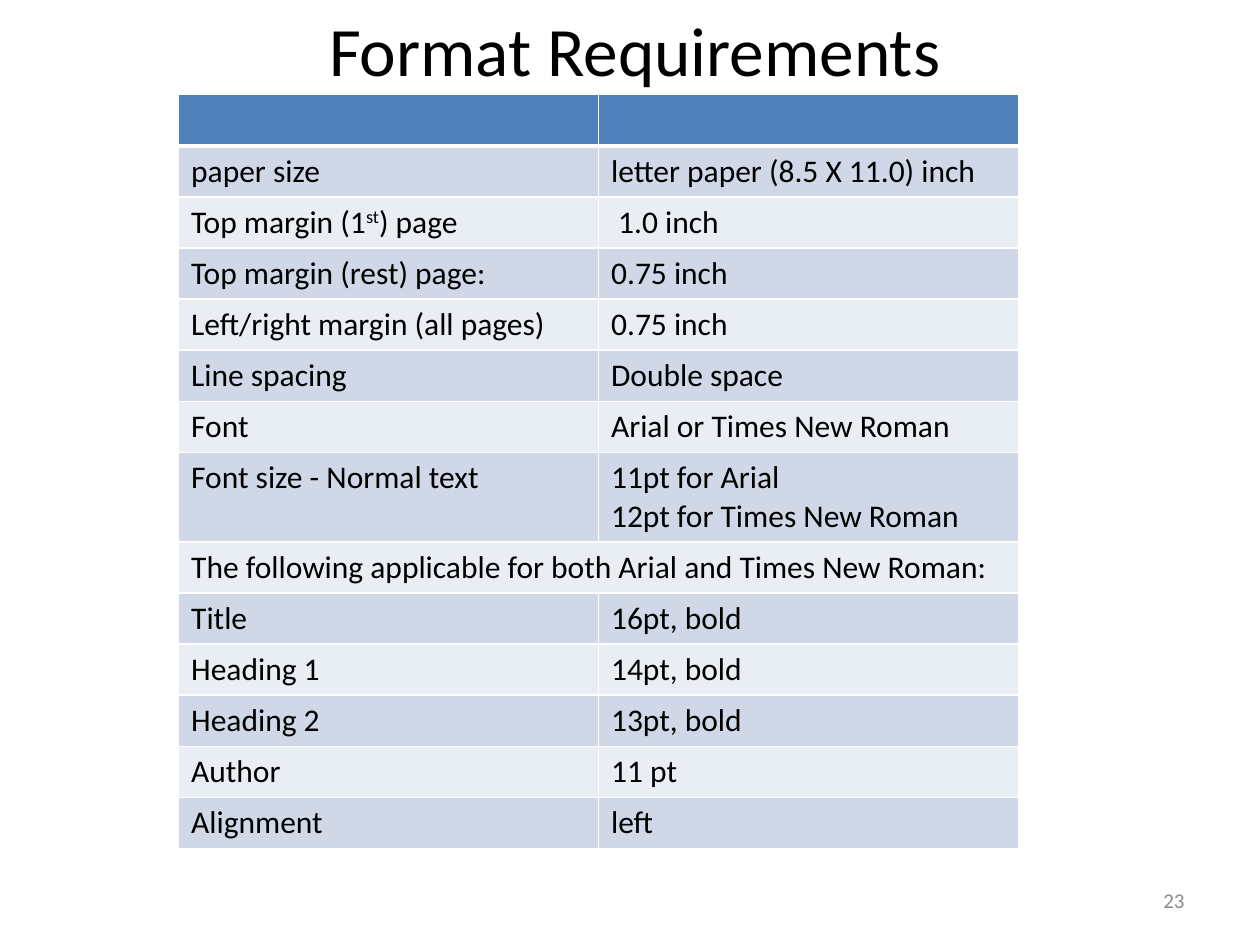
from dataclasses import dataclass

from lxml.etree import SubElement
from pptx import Presentation
from pptx.dml.color import RGBColor
from pptx.enum.text import MSO_ANCHOR, MSO_AUTO_SIZE, PP_ALIGN
from pptx.oxml.ns import qn
from pptx.util import Cm, Pt


@dataclass(frozen=True)
class Theme:
    font: str = "Calibri"
    ink: str = "000000"
    muted: str = "8C8C8C"
    rule: str = "FFFFFF"
    header: str = "4F81BD"
    bands: tuple = ("D0D8E8", "E9EDF4")
    title_size: float = 39.6
    body_size: float = 18
    number_size: float = 12
    thin: float = 1
    thick: float = 3


THEME = Theme()

REQUIREMENTS = [
    ("", ""),
    ("paper size", "letter paper (8.5 X 11.0) inch"),
    (("Top margin (1", "^st", ") page"), " 1.0 inch"),
    ("Top margin (rest) page: ", "0.75 inch"),
    ("Left/right margin (all pages) ", "0.75 inch"),
    ("Line spacing", "Double space"),
    ("Font", "Arial or Times New Roman"),
    ("Font size - Normal text", "11pt for Arial\n12pt for Times New Roman"),
    ("The following applicable for both Arial and Times New Roman:",),
    ("Title", "16pt, bold"),
    ("Heading 1", "14pt, bold"),
    ("Heading 2", "13pt, bold"),
    ("Author", "11 pt"),
    ("Alignment", "left"),
]


def add_run(paragraph, text, size, color):
    run = paragraph.add_run()
    run.text = text.removeprefix("^")
    run.font.name = THEME.font
    run.font.size = Pt(size)
    run.font.bold = False
    run.font.color.rgb = RGBColor.from_string(color)
    if text.startswith("^"):
        run.font._element.set("baseline", "30000")


def add_title(slide, text):
    title = slide.shapes.title
    title.left, title.top, title.width, title.height = Cm(1.27), Cm(0), Cm(23.06), Cm(1.98)
    frame = title.text_frame
    frame.auto_size = MSO_AUTO_SIZE.NONE
    frame.vertical_anchor = MSO_ANCHOR.MIDDLE
    paragraph = frame.paragraphs[0]
    paragraph.alignment = PP_ALIGN.CENTER
    add_run(paragraph, text, THEME.title_size, THEME.ink)


def set_borders(cell, is_header):
    properties = cell._tc.get_or_add_tcPr()
    for position, side in enumerate(("lnL", "lnR", "lnT", "lnB")):
        weight = THEME.thick if is_header and side == "lnB" else THEME.thin
        line = SubElement(properties, qn(f"a:{side}"), w=str(Pt(weight)))
        fill = SubElement(line, qn("a:solidFill"))
        SubElement(fill, qn("a:srgbClr"), val=THEME.rule)
        properties.insert(position, line)


def fill_cell(cell, content, color, is_header):
    cell.fill.solid()
    cell.fill.fore_color.rgb = RGBColor.from_string(color)
    set_borders(cell, is_header)
    frame = cell.text_frame
    if not content:
        frame.paragraphs[0].font.size = Pt(THEME.body_size)
        return
    lines = [content] if isinstance(content, tuple) else [(line,) for line in content.split("\n")]
    for index, pieces in enumerate(lines):
        paragraph = frame.add_paragraph() if index else frame.paragraphs[0]
        for piece in pieces:
            add_run(paragraph, piece, THEME.body_size, THEME.ink)


def add_requirements(slide, entries):
    row_height, tall_row = Cm(1.03), Cm(1.78)
    table = slide.shapes.add_table(
        len(entries), 2, Cm(3.6), Cm(1.91), Cm(16.93), row_height * len(entries)
    ).table
    for index, entry in enumerate(entries):
        is_tall = any("\n" in content for content in entry)
        table.rows[index].height = tall_row if is_tall else row_height
        if len(entry) == 1:
            table.cell(index, 0).merge(table.cell(index, 1))
        is_header = index == 0
        color = THEME.header if is_header else THEME.bands[(index - 1) % 2]
        for column, content in enumerate(entry):
            fill_cell(table.cell(index, column), content, color, is_header)


def add_page_number(slide, number):
    frame = slide.shapes.add_textbox(Cm(18.2), Cm(17.65), Cm(5.93), Cm(1.01)).text_frame
    frame.word_wrap = True
    frame.vertical_anchor = MSO_ANCHOR.MIDDLE
    paragraph = frame.paragraphs[0]
    paragraph.alignment = PP_ALIGN.RIGHT
    add_run(paragraph, number, THEME.number_size, THEME.muted)


def main():
    deck = Presentation()
    deck.slide_width, deck.slide_height = Cm(25.4), Cm(19.05)
    slide = deck.slides.add_slide(deck.slide_layouts.get_by_name("Title Only"))
    add_title(slide, "Format Requirements")
    add_requirements(slide, REQUIREMENTS)
    add_page_number(slide, "23")
    deck.save("out.pptx")


main()
